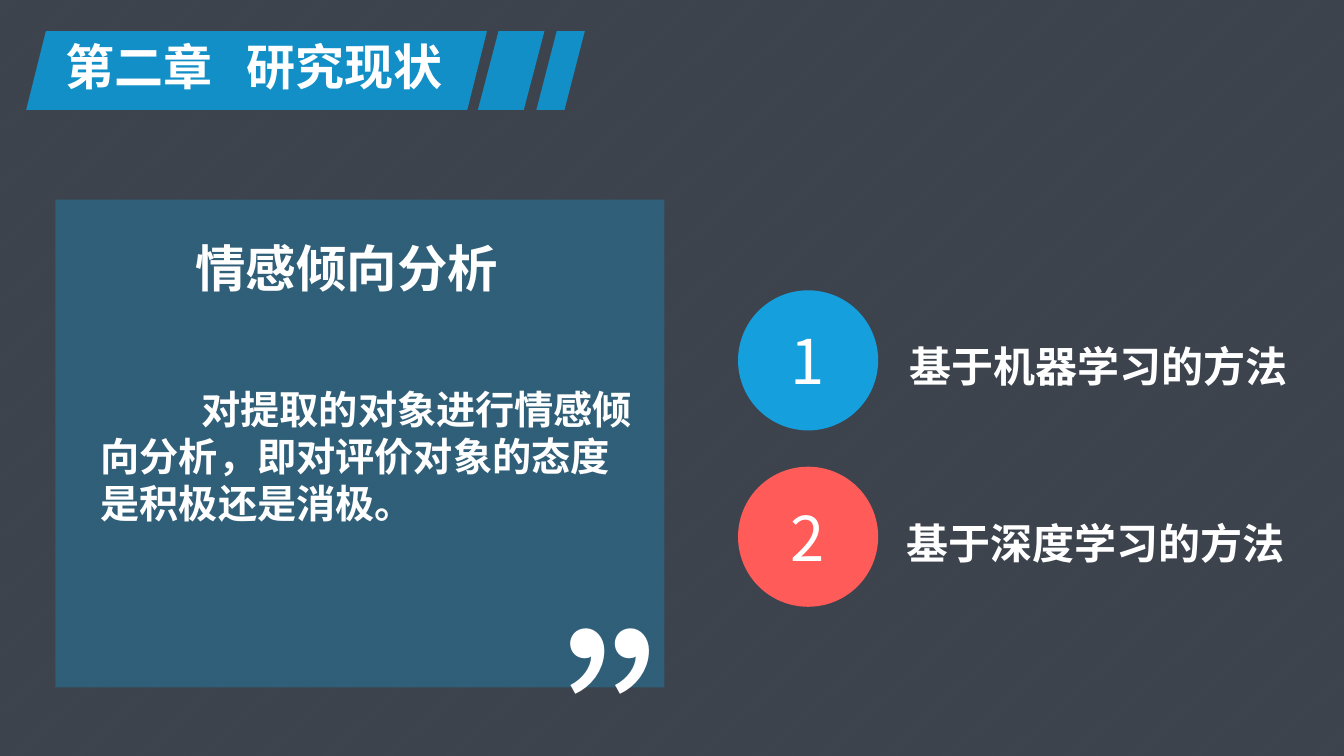
"""Build the chapter two slide on sentiment analysis."""
from lxml import etree
from pptx import Presentation
from pptx.dml.color import RGBColor
from pptx.enum.dml import MSO_PATTERN
from pptx.enum.shapes import MSO_SHAPE
from pptx.enum.text import MSO_ANCHOR, MSO_AUTO_SIZE, PP_ALIGN
from pptx.oxml.ns import qn
from pptx.util import Inches, Pt

RECTANGLE, OVAL = MSO_SHAPE.RECTANGLE, MSO_SHAPE.OVAL
PARALLELOGRAM = MSO_SHAPE.PARALLELOGRAM
STRIPES = MSO_PATTERN.LIGHT_UPWARD_DIAGONAL
CENTER, MIDDLE = PP_ALIGN.CENTER, MSO_ANCHOR.MIDDLE
GROW = MSO_AUTO_SIZE.SHAPE_TO_FIT_TEXT

WIDTH, HEIGHT = 13.33, 7.5
FONT = "Noto Sans CJK SC"
COLORS = {"stripe": "BFBFBF", "ground": "DDDCE2", "veil": "222A35", "banner": "138FC7",
          "blue": "159FDD", "red": "FF5B59", "white": "FFFFFF"}

# Every frame is left, top, width, height in hundredths of the slide.
BANNER_TOP, BANNER_HEIGHT = 4.13, 10.4
BANNER = [(1.95, 34.28, 0.25), (35.56, 4.95, 0.31), (39.91, 3.6, 0.42)]
CHAPTER = ["第二章", " ", "研究现状"]
CHAPTER_GAP = 16
PANEL = (4.13, 26.4, 45.31, 64.53)
TEXTS = {
    "chapter": (CHAPTER, (4.13, 4.13, 30.53, 9.2), {"size": 35, "bold": True, "wrap": False}),
    "body": (["对提取的对象进行情感倾向分析，即对评价对象的态度是积极还是消极。"],
             (6.75, 50.27, 42.16, 20.13), {"size": 28, "bold": True}),
    "heading": (["情感倾向分析"], (13.8, 30.67, 33.68, 9.47), {"size": 36, "bold": True}),
    "quote": (["“"], (55.06, 58.67, 4.8, 38.53), {"size": 166}),
}
METHODS = [("1", "blue", "基于机器学习的方法", 66.92, 31.05),
           ("2", "red", "基于深度学习的方法", 66.69, 30.68)]
CIRCLE_LEFT, CIRCLE_TOP, CIRCLE_SIZE, METHOD_STEP = 54.91, 38.4, 1.39, 23.33
LABEL_DROP, LABEL_HEIGHT = 6, 8.13


def color(name):
    return RGBColor.from_string(COLORS[name])


def place(frame):
    left, top, width, height = frame
    return [Inches(share * side / 100) for share, side in
            ((left, WIDTH), (top, HEIGHT), (width, WIDTH), (height, HEIGHT))]


def add_block(page, kind, frame, fill, opacity=100):
    block = page.shapes.add_shape(kind, *place(frame))
    block.shadow.inherit = False
    block.fill.solid()
    block.fill.fore_color.rgb = color(fill)
    block.line.fill.background()
    if opacity < 100:
        tint = block.fill._xPr.find(qn("a:solidFill"))[0]
        etree.SubElement(tint, qn("a:alpha"), val=str(opacity * 1000))
    return block


def write(para, parts, size, bold=False):
    for part in parts:
        span = para.add_run()
        span.text = part
        for name, value in {"name": FONT, "size": Pt(size), "bold": bold}.items():
            setattr(span.font, name, value)
        span.font.color.rgb = color("white")
        etree.SubElement(span.font._element, qn("a:ea"), typeface=FONT)


def add_text(page, parts, frame, size, bold=False, wrap=True):
    box = page.shapes.add_textbox(*place(frame))
    box.text_frame.word_wrap = wrap
    box.text_frame.auto_size = GROW
    write(box.text_frame.paragraphs[0], parts, size, bold)
    return box


def main():
    deck = Presentation()
    deck.slide_width, deck.slide_height = Inches(WIDTH), Inches(HEIGHT)
    page = deck.slides.add_slide(deck.slide_layouts[6])
    ground = page.background.fill
    ground.patterned()
    ground.pattern = STRIPES
    ground.fore_color.rgb = color("stripe")
    ground.back_color.rgb = color("ground")

    add_block(page, RECTANGLE, (0, 0, 100, 100), "veil", 85)
    for left, width, slant in BANNER:
        bar = add_block(page, PARALLELOGRAM, (left, BANNER_TOP, width, BANNER_HEIGHT), "banner")
        bar.adjustments[0] = slant
    add_block(page, RECTANGLE, PANEL, "blue", 30)

    boxes = {name: add_text(page, parts, frame, **style)
             for name, (parts, frame, style) in TEXTS.items()}
    gap = boxes["chapter"].text_frame.paragraphs[0].runs[1]
    gap.font._element.set("spc", str(CHAPTER_GAP * 100))
    body = boxes["body"].text_frame.paragraphs[0]
    body._p.get_or_add_pPr().set("indent", str(Inches(1)))
    boxes["quote"].rotation = 180

    for index, (number, fill, label, left, width) in enumerate(METHODS):
        top = CIRCLE_TOP + index * METHOD_STEP
        size = (CIRCLE_SIZE / WIDTH * 100, CIRCLE_SIZE / HEIGHT * 100)
        circle = add_block(page, OVAL, (CIRCLE_LEFT, top, *size), fill)
        circle.text_frame.vertical_anchor = MIDDLE
        para = circle.text_frame.paragraphs[0]
        para.alignment = CENTER
        write(para, [number], 44)
        add_text(page, [label], (left, top + LABEL_DROP, width, LABEL_HEIGHT), 30, True, False)

    deck.save("out.pptx")


if __name__ == "__main__":
    main()
